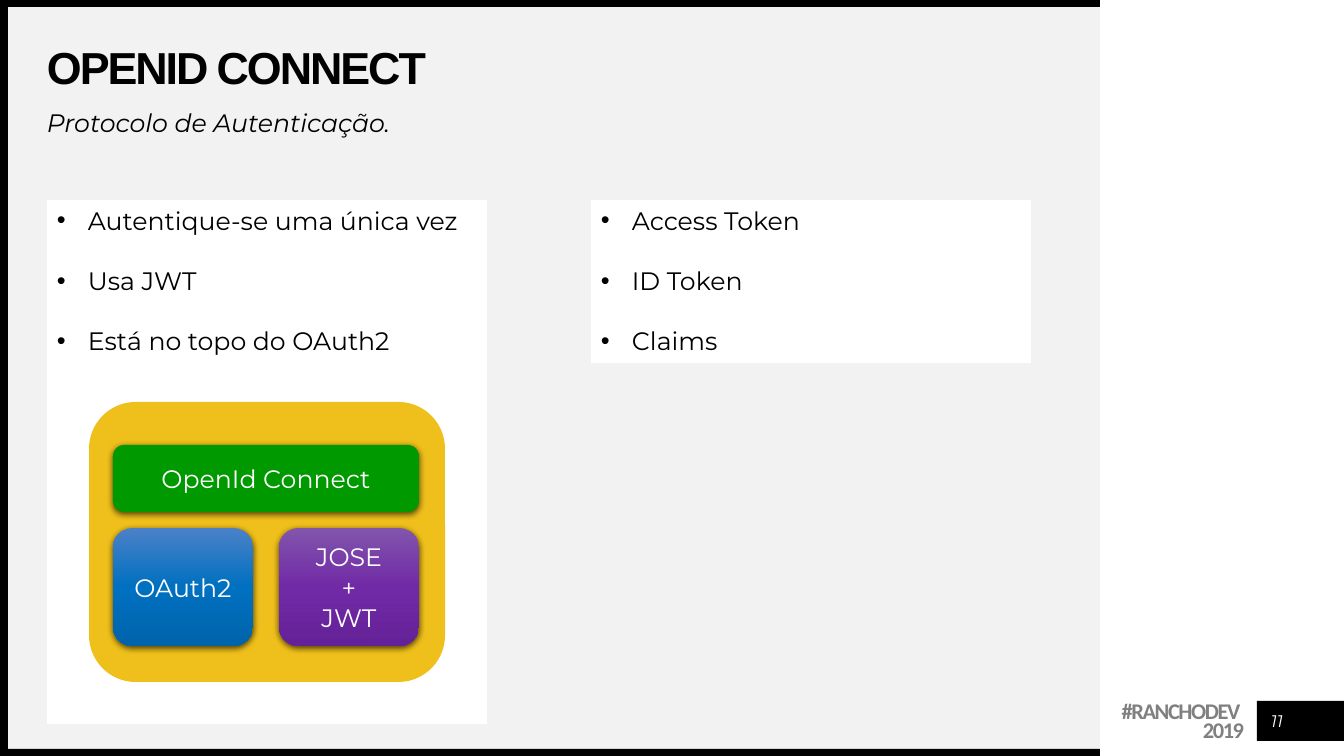
from lxml.etree import SubElement
from pptx import Presentation
from pptx.dml.color import RGBColor
from pptx.enum.shapes import MSO_SHAPE
from pptx.enum.text import MSO_ANCHOR, PP_ALIGN
from pptx.oxml.ns import qn
from pptx.util import Inches, Pt


def px(n):
    """Turn pixels into EMU."""
    return Inches(n / 100.8)


def color(code):
    """Turn a hex string into a colour."""
    return RGBColor.from_string(code)


def block(slide, box, fill, kind=MSO_SHAPE.RECTANGLE):
    """Add a plain filled shape without line or shadow."""
    shape = slide.shapes.add_shape(kind, *map(px, box))
    shape.shadow.inherit = False
    shape.line.fill.background()
    shape.fill.solid()
    shape.fill.fore_color.rgb = color(fill)
    return shape


def write(shape, lines, size=18, ink="000000", font="Montserrat", align=PP_ALIGN.LEFT,
          anchor=MSO_ANCHOR.TOP, bold=False, italic=False, leading=None,
          track=0, gap=0, bullet=None):
    """Fill a shape with one styled paragraph per line."""
    frame = shape.text_frame
    frame.word_wrap = True
    frame.vertical_anchor = anchor
    frame.text = "\n".join(lines)
    for i, para in enumerate(frame.paragraphs):
        para.alignment = align
        if leading:
            para.line_spacing = leading
        if i and gap:
            para.space_before = Pt(gap)
        if bullet:
            props = para._p.get_or_add_pPr()
            props.set("marL", str(px(31)))
            props.set("indent", str(-px(31)))
            SubElement(props, qn("a:buFont")).set("typeface", "Arial")
            SubElement(props, qn("a:buChar")).set("char", bullet)
        para.font.name = font
        para.font.size = Pt(size)
        para.font.bold = bold
        para.font.italic = italic
        para.font.color.rgb = color(ink)
        if track:
            for run in para.runs:
                run._r.get_or_add_rPr().set("spc", str(track))


def label(slide, box, lines, **style):
    """Add a text box without side margins."""
    text = slide.shapes.add_textbox(*map(px, box))
    frame = text.text_frame
    frame.margin_left = frame.margin_right = frame.margin_top = frame.margin_bottom = 0
    write(text, lines, **style)
    return text


def frame(slide, box):
    """Draw the grey page with its black edges."""
    x, y, w, h = box
    block(slide, (x + 8, y + 7, w - 8, h - 14), "F2F2F2")
    for top in (y, y + h - 7):
        block(slide, (x, top, w, 7), "000000")
    block(slide, (x, y + 4, 8, h - 4), "000000")


def header(slide, box):
    """Place the title and the subtitle."""
    x, y, w, h = box
    label(slide, (x, y, w, 47), ["OPENID CONNECT"], size=32, font="Arial", bold=True,
          anchor=MSO_ANCHOR.MIDDLE, leading=0.9, track=-150)
    label(slide, (x, y + h - 39, w, 39), ["Protocolo de Autenticação."],
          italic=True, leading=0.9)


def footer(slide, box):
    """Place the event tag and the page number."""
    x, y, w, h = box
    tag = label(slide, (x, y, 183, h), ["#RANCHODEV ", "2019"], size=16, ink="808080",
                font="Calibri", bold=True, align=PP_ALIGN.RIGHT, leading=Pt(14), track=-100)
    tag.text_frame.margin_top = px(4)
    block(slide, (x + w - 87, y + 1, 87, 40), "000000")
    label(slide, (x + w - 82, y + 6, 30, 30), ["11"], size=12, ink="FFFFFF", italic=True,
          align=PP_ALIGN.CENTER, anchor=MSO_ANCHOR.MIDDLE)


def panel(slide, box, lines):
    """Draw a white panel of bullets."""
    write(block(slide, box, "FFFFFF"), lines, gap=21.5, bullet="•")


def blend(shape, shades):
    """Fill a shape from top to bottom with evenly spaced shades."""
    shape.fill.gradient()
    shape.fill.gradient_angle = 270
    stops = shape._element.spPr.find(qn("a:gradFill")).find(qn("a:gsLst"))
    for old in list(stops):
        stops.remove(old)
    for i, shade in enumerate(shades):
        stop = SubElement(stops, qn("a:gs"), pos=str(100000 * i // (len(shades) - 1)))
        SubElement(stop, qn("a:srgbClr"), val=shade)


def tile(slide, box, lines, shades):
    """Draw a rounded tile with a soft shadow."""
    shape = block(slide, box, shades[0], MSO_SHAPE.ROUNDED_RECTANGLE)
    if len(shades) > 1:
        blend(shape, shades)
    effects = shape._element.spPr.find(qn("a:effectLst"))
    shadow = SubElement(effects, qn("a:outerShdw"), blurRad=str(Pt(4.5)),
                        dist=str(Pt(1.5)), dir="5400000", rotWithShape="0")
    tint = SubElement(shadow, qn("a:srgbClr"), val="000000")
    SubElement(tint, qn("a:alpha"), val="63000")
    write(shape, lines, ink="FFFFFF", align=PP_ALIGN.CENTER, anchor=MSO_ANCHOR.MIDDLE)


def stack(slide, box):
    """Draw the protocol layers on a white panel."""
    x, y, w, h = box
    block(slide, box, "FFFFFF")
    block(slide, (x + 42, y + 39, 356, 280), "EFBF1B", MSO_SHAPE.ROUNDED_RECTANGLE)
    left, base = x + 66, y + 165
    tile(slide, (left, y + 82, 306, 67), ["OpenId Connect"], ["009900"])
    tile(slide, (left, base, 140, 118), ["OAuth2"], ["4B81C8", "0070C0", "0064AB"])
    tile(slide, (left + 166, base, 140, 118), ["JOSE", "+", "JWT"],
         ["8155AC", "712AA6", "652198"])


def main():
    """Build and save the deck."""
    deck = Presentation()
    deck.slide_width, deck.slide_height = px(1344), px(756)
    slide = deck.slides.add_slide(deck.slide_layouts[6])
    frame(slide, (0, 0, 1100, 756))
    footer(slide, (1061, 700, 283, 44))
    header(slide, (47, 47, 1014, 103))
    panel(slide, (47, 200, 440, 163),
          ["Autentique-se uma única vez", "Usa JWT", "Está no topo do OAuth2"])
    panel(slide, (591, 200, 440, 163), ["Access Token", "ID Token", "Claims"])
    stack(slide, (47, 363, 440, 361))
    deck.save("out.pptx")


if __name__ == "__main__":
    main()
